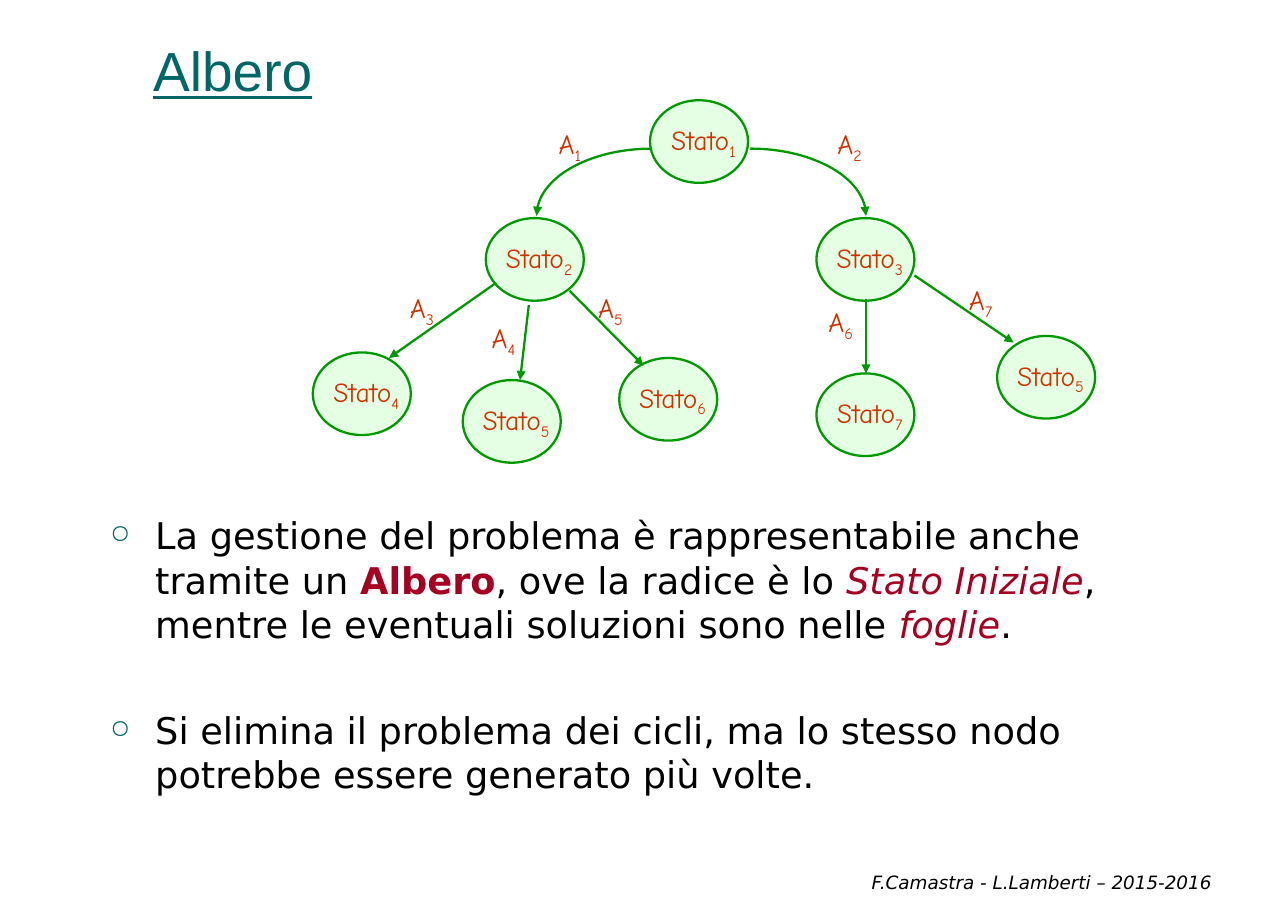
import math
from dataclasses import dataclass

import pptx
import pptx.dml.color
import pptx.enum.shapes
import pptx.enum.text
import pptx.oxml
import pptx.oxml.ns
import pptx.util

Anchor = pptx.enum.text.MSO_ANCHOR
Align = pptx.enum.text.PP_ALIGN
Color = pptx.dml.color.RGBColor


@dataclass(frozen=True)
class Theme:
    teal: str = "006666"
    ink: str = "000000"
    accent: str = "A50021"
    label: str = "CC3300"
    node: str = "E5FFE5"
    edge: str = "009900"
    title_font: str = "Arial"
    text_font: str = "DejaVu Sans"
    tree_font: str = "Comic Neue"
    title_size: float = 36
    text_size: float = 24
    tree_size: float = 18
    footer_size: float = 12
    edge_width: float = 1.5


@dataclass(frozen=True)
class Area:
    """Left, top, width and height in hundredths of the slide."""
    left: float
    top: float
    width: float
    height: float


@dataclass(frozen=True)
class Node:
    number: str
    left: float
    top: float


@dataclass(frozen=True)
class Edge:
    number: str
    start: tuple[float, float]
    end: tuple[float, float]
    label: tuple[float, float]
    curved: bool = False


@dataclass(frozen=True)
class Span:
    text: str
    accent: bool = False
    bold: bool = False
    italic: bool = False


THEME = Theme()
WIDTH, HEIGHT = pptx.util.Inches(11.69), pptx.util.Inches(8.27)
NODE_SIZE = (7.61, 9.07)
LABEL_SIZE = (8.9, 4.11)
ARC_STEPS = 32

NODES = [
    Node("1", 50.47, 11), Node("2", 37.72, 23.94), Node("3", 63.39, 23.94),
    Node("4", 24.29, 38.69), Node("5", 35.93, 41.72), Node("6", 48.08, 39.3),
    Node("7", 63.39, 40.99), Node("5", 77.42, 36.88),
]
EDGES = [
    Edge("1", (50.64, 16.32), (41.66, 23.7), (39.78, 13.91), curved=True),
    Edge("2", (58.25, 16.32), (67.24, 23.7), (61.51, 13.91), curved=True),
    Edge("3", (38.49, 31.08), (30.2, 39.3), (28.31, 31.92)),
    Edge("4", (41.06, 33.49), (40.38, 41.72), (34.64, 35.19)),
    Edge("5", (44.23, 31.92), (49.96, 40.15), (42.94, 31.92)),
    Edge("6", (67.24, 32.77), (67.24, 40.99), (60.82, 33.49)),
    Edge("7", (71, 30.23), (78.7, 37.61), (71.69, 31.08)),
]
BULLETS = [
    [Span("La gestione del problema è rappresentabile anche tramite un "),
     Span("Albero", accent=True, bold=True),
     Span(", ove la radice è lo "),
     Span("Stato Iniziale", accent=True, italic=True),
     Span(", mentre le eventuali soluzioni sono nelle "),
     Span("foglie", accent=True, italic=True),
     Span(".")],
    [Span("Si elimina il problema dei cicli, ma lo stesso nodo "
          "potrebbe essere generato più volte.")],
]


def across(share: float) -> int:
    return round(WIDTH * share / 100)


def down(share: float) -> int:
    return round(HEIGHT * share / 100)


def place(area: Area) -> tuple[int, int, int, int]:
    return across(area.left), down(area.top), across(area.width), down(area.height)


def style(font, name: str, size: float, color: str) -> None:
    font.name, font.size = name, pptx.util.Pt(size)
    font.color.rgb = Color.from_string(color)


def set_frame(frame, side: float = 0.11, edge: float = 0.05,
              anchor=Anchor.TOP, wrap: bool = True) -> None:
    frame.margin_left = frame.margin_right = pptx.util.Inches(side)
    frame.margin_top = frame.margin_bottom = pptx.util.Inches(edge)
    frame.vertical_anchor, frame.word_wrap = anchor, wrap
    frame.auto_size = pptx.enum.text.MSO_AUTO_SIZE.NONE


def add_xml(parent, tag: str, **attributes: str):
    child = pptx.oxml.parse_xml(f"<a:{tag} {pptx.oxml.ns.nsdecls('a')}/>")
    for name, value in attributes.items():
        child.set(name, value)
    parent.append(child)
    return child


def write_indexed(frame, word: str, number: str) -> None:
    para = frame.paragraphs[0]
    para.alignment = Align.CENTER
    style(para.font, THEME.tree_font, THEME.tree_size, THEME.label)
    para.add_run().text = word
    index = para.add_run()
    index.text = number
    index._r.get_or_add_rPr().set("baseline", "-25000")


def set_line(line) -> None:
    line.color.rgb = Color.from_string(THEME.edge)
    line.width = pptx.util.Pt(THEME.edge_width)


def add_node(page, node: Node) -> None:
    oval = page.shapes.add_shape(pptx.enum.shapes.MSO_SHAPE.OVAL,
                                 *place(Area(node.left, node.top, *NODE_SIZE)))
    oval.shadow.inherit = False
    oval.fill.solid()
    oval.fill.fore_color.rgb = Color.from_string(THEME.node)
    set_line(oval.line)
    set_frame(oval.text_frame, 0, 0, Anchor.MIDDLE, wrap=False)
    oval.text_frame.margin_left = pptx.util.Inches(0.08)
    write_indexed(oval.text_frame, "Stato", node.number)


def add_edge(page, edge: Edge) -> None:
    (x1, y1), (x2, y2) = edge.start, edge.end
    if edge.curved:  # quarter ellipse leaving level and arriving upright
        turns = [math.pi / 2 * step / ARC_STEPS for step in range(1, ARC_STEPS + 1)]
        points = [(across(x1 + (x2 - x1) * math.sin(turn)),
                   down(y2 + (y1 - y2) * math.cos(turn))) for turn in turns]
        builder = page.shapes.build_freeform(across(x1), down(y1))
        builder.add_line_segments(points, close=False)
        arrow = builder.convert_to_shape()
        arrow.shadow.inherit = False
        arrow.fill.background()
        set_line(arrow.line)
    else:
        arrow = page.shapes.add_connector(pptx.enum.shapes.MSO_CONNECTOR.STRAIGHT,
                                          across(x1), down(y1), across(x2), down(y2))
        set_line(arrow.line)
        add_xml(arrow._element.spPr, "effectLst")
    add_xml(arrow.line._get_or_add_ln(), "tailEnd", type="triangle")

    label = page.shapes.add_textbox(*place(Area(*edge.label, *LABEL_SIZE)))
    set_frame(label.text_frame, 0, 0)
    write_indexed(label.text_frame, "A", edge.number)


def add_bullet(para, spans: list[Span]) -> None:
    props = para._p.get_or_add_pPr()
    indent = pptx.util.Inches(0.41)
    props.set("marL", str(indent))
    props.set("indent", str(-indent))
    add_xml(add_xml(props, "buClr"), "srgbClr", val=THEME.teal)
    add_xml(props, "buSzPct", val="70000")
    add_xml(props, "buChar", char="○")
    style(para.font, THEME.text_font, THEME.text_size, THEME.ink)
    for part in spans:
        span = para.add_run()
        span.text = part.text
        if part.accent:
            span.font.color.rgb = Color.from_string(THEME.accent)
            span.font.bold, span.font.italic = part.bold, part.italic


def main() -> None:
    deck = pptx.Presentation()
    deck.slide_width, deck.slide_height = WIDTH, HEIGHT
    page = deck.slides.add_slide(deck.slide_layouts[5])

    # Title
    title = page.shapes.title
    title.left, title.top, title.width, title.height = place(
        Area(10.95, 0.73, 84.09, 11.12))
    set_frame(title.text_frame, anchor=Anchor.BOTTOM)
    para = title.text_frame.paragraphs[0]
    para.text, para.alignment = "Albero", Align.LEFT
    style(para.font, THEME.title_font, THEME.title_size, THEME.teal)
    para.font.underline = True

    # Tree
    for node in NODES:
        add_node(page, node)
    for edge in EDGES:
        add_edge(page, edge)

    # Bullets
    box = page.shapes.add_textbox(*place(Area(7.61, 55.74, 87.43, 34.34)))
    set_frame(box.text_frame)
    for position, spans in enumerate(BULLETS):
        para = box.text_frame.add_paragraph() if position else box.text_frame.paragraphs[0]
        add_bullet(para, spans)
        para.space_before = pptx.util.Pt(41 if position else 0)

    # Footer
    footer = page.shapes.add_textbox(*place(Area(34.13, 92.87, 60.91, 5.8)))
    set_frame(footer.text_frame, anchor=Anchor.BOTTOM)
    para = footer.text_frame.paragraphs[0]
    para.text, para.alignment = "F.Camastra - L.Lamberti – 2015-2016", Align.RIGHT
    style(para.font, THEME.text_font, THEME.footer_size, THEME.ink)
    para.font.italic = True

    deck.save("out.pptx")


if __name__ == "__main__":
    main()
